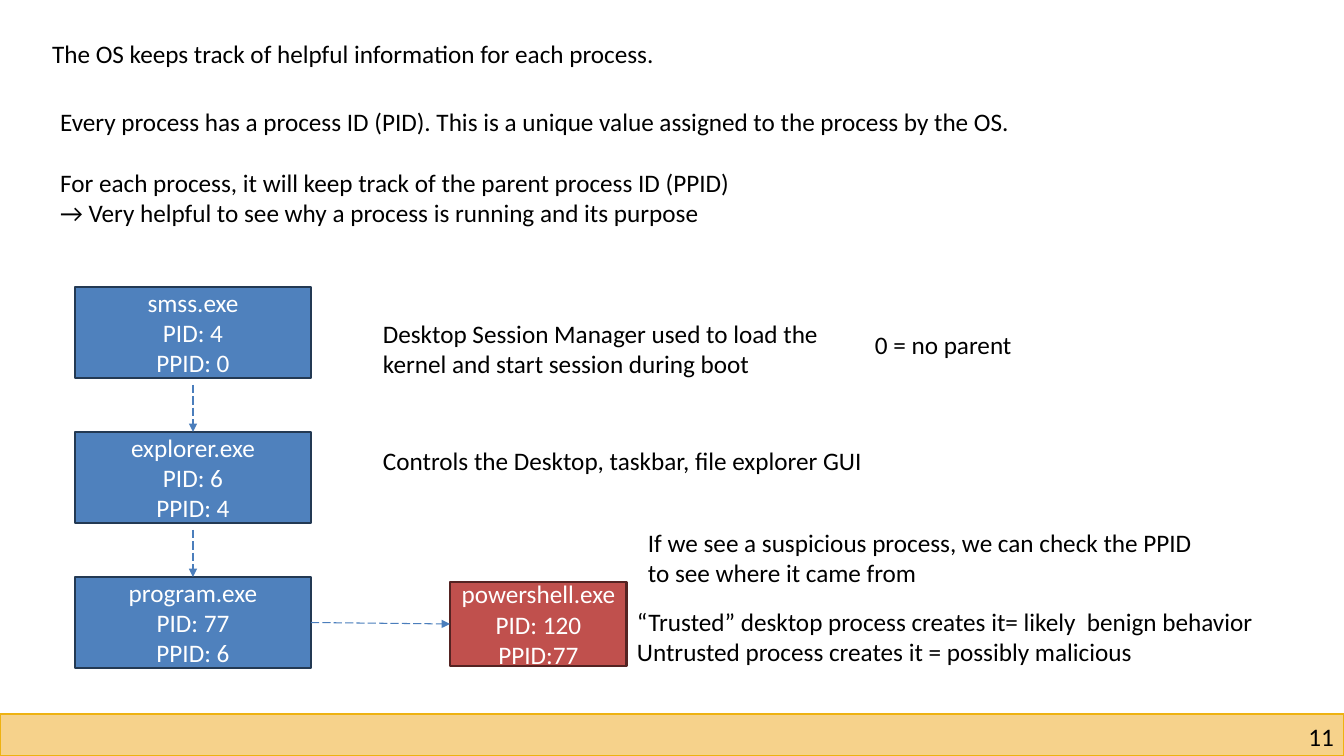
from lxml import etree
from pptx import Presentation
from pptx.dml.color import RGBColor
from pptx.enum.dml import MSO_LINE
from pptx.enum.shapes import MSO_CONNECTOR, MSO_SHAPE
from pptx.enum.text import MSO_ANCHOR, MSO_AUTO_SIZE, PP_ALIGN
from pptx.oxml.ns import qn
from pptx.util import Pt

RECTANGLE = MSO_SHAPE.RECTANGLE
STRAIGHT = MSO_CONNECTOR.STRAIGHT
LONG_DASH = MSO_LINE.LONG_DASH
TOP, MIDDLE = MSO_ANCHOR.TOP, MSO_ANCHOR.MIDDLE
LEFT, CENTER, RIGHT = PP_ALIGN.LEFT, PP_ALIGN.CENTER, PP_ALIGN.RIGHT
NO_AUTOFIT = MSO_AUTO_SIZE.NONE

# Content
TITLE = "The OS keeps track of helpful information for each process."
FACTS = [
    "Every process has a process ID (PID). This is a unique value assigned to the process by the OS.",
    "For each process, it will keep track of the parent process ID (PPID)",
    "→ Very helpful to see why a process is running and its purpose",
]
PROCESS_CHAIN = [
    ["smss.exe", "PID: 4", "PPID: 0"],
    ["explorer.exe", "PID: 6", "PPID: 4"],
    ["program.exe", "PID: 77", "PPID: 6"],
]
SUSPICIOUS_PROCESS = ["powershell.exe", "PID: 120", "PPID:77"]
NOTES = [  # left, top, width, height in px, then lines
    (373, 313, 504, 71, ["Desktop Session Manager used to load the kernel and start session during boot"]),
    (865, 324, 194, 40, ["0 = no parent"]),
    (373, 440, 504, 71, ["Controls the Desktop, taskbar, file explorer GUI"]),
    (638, 522, 580, 71, ["If we see a suspicious process, we can check the PPID to see where it came from"]),
    (627, 601, 733, 71, ["“Trusted” desktop process creates it= likely  benign behavior",
                         "Untrusted process creates it = possibly malicious"]),
]
PAGE_NUMBER = "11"

# Layout in px
PX = 914400 / 100.8
SLIDE_W, SLIDE_H = 1344, 756
BAR_TOP = 714
CHAIN_LEFT, CHAIN_TOP, CHAIN_STEP = 75, 287, 145
PROCESS_W, PROCESS_H = 236, 91
ARROW_LENGTH = 47
SUSPICIOUS_BOX = (450, 582, 177, 84)


def px(*lengths):
    return [round(length * PX) for length in lengths]


def color(hex_code):
    return RGBColor.from_string(hex_code)


def place(shape, *box):
    shape.left, shape.top, shape.width, shape.height = px(*box)


def write(shape, lines, ink="000000", align=LEFT, anchor=TOP):
    frame = shape.text_frame
    frame.word_wrap = True
    frame.auto_size = NO_AUTOFIT
    frame.vertical_anchor = anchor
    frame.text = "\n".join(lines)
    for paragraph in frame.paragraphs:
        paragraph.alignment = align
        paragraph.space_before = Pt(0)
        paragraph.font.name = "Calibri"
        paragraph.font.size = Pt(18)
        paragraph.font.color.rgb = color(ink)
    return frame


def add_text(box, lines, align=LEFT):
    return write(slide.shapes.add_textbox(*px(*box)), lines, align=align)


def add_box(box, fill, edge, edge_width):
    shape = slide.shapes.add_shape(RECTANGLE, *px(*box))
    shape.shadow.inherit = False
    shape.fill.solid()
    shape.fill.fore_color.rgb = color(fill)
    shape.line.color.rgb = color(edge)
    shape.line.width = Pt(edge_width)
    return shape


def add_process(box, lines, fill="4F81BD", edge="233953"):
    write(add_box(box, fill, edge, 2), lines, "FFFFFF", CENTER, MIDDLE)


def add_arrow(*ends):
    arrow = slide.shapes.add_connector(STRAIGHT, *px(*ends))
    arrow.line.color.rgb = color("4B7EBC")
    arrow.line.width = Pt(0.75)
    arrow.line.dash_style = LONG_DASH
    etree.SubElement(arrow.line._get_or_add_ln(), qn("a:tailEnd"), type="triangle")
    etree.SubElement(arrow._element.spPr, qn("a:effectLst"))


presentation = Presentation()
presentation.slide_width, presentation.slide_height = px(SLIDE_W, SLIDE_H)
slide = presentation.slides.add_slide(presentation.slide_layouts[1])

# Footer bar and page number
add_box((0, BAR_TOP, SLIDE_W, SLIDE_H - BAR_TOP), "F6D28B", "EEB211", 1)
page = add_text((1025, 721, 309, 30), [PAGE_NUMBER], RIGHT)
page.margin_left = page.margin_right = page.margin_top = page.margin_bottom = 0

# Title and facts
title, facts = slide.placeholders
place(title, 42, 33, 698, 40)
write(title, [TITLE])
place(facts, 50, 101, 1116, 132)
fact_lines = write(facts, FACTS).paragraphs
for line in fact_lines:
    properties = line._p.get_or_add_pPr()
    properties.set("marL", "0")
    properties.set("indent", "0")
    bullet_off = etree.Element(qn("a:buNone"))
    properties.find(qn("a:defRPr")).addprevious(bullet_off)
fact_lines[1].space_before = Pt(22)

# Chain of parent and child processes
chain_middle = CHAIN_LEFT + PROCESS_W / 2
for row, process in enumerate(PROCESS_CHAIN):
    top = CHAIN_TOP + row * CHAIN_STEP
    add_process((CHAIN_LEFT, top, PROCESS_W, PROCESS_H), process)
    if row:
        add_arrow(chain_middle, top - ARROW_LENGTH, chain_middle, top)

# Suspicious child of the last process
add_process(SUSPICIOUS_BOX, SUSPICIOUS_PROCESS, "C0504D", "542322")
add_arrow(CHAIN_LEFT + PROCESS_W, top + PROCESS_H / 2,
          SUSPICIOUS_BOX[0], SUSPICIOUS_BOX[1] + SUSPICIOUS_BOX[3] / 2)

# Explanations
for *box, lines in NOTES:
    add_text(box, lines)

presentation.save("out.pptx")
